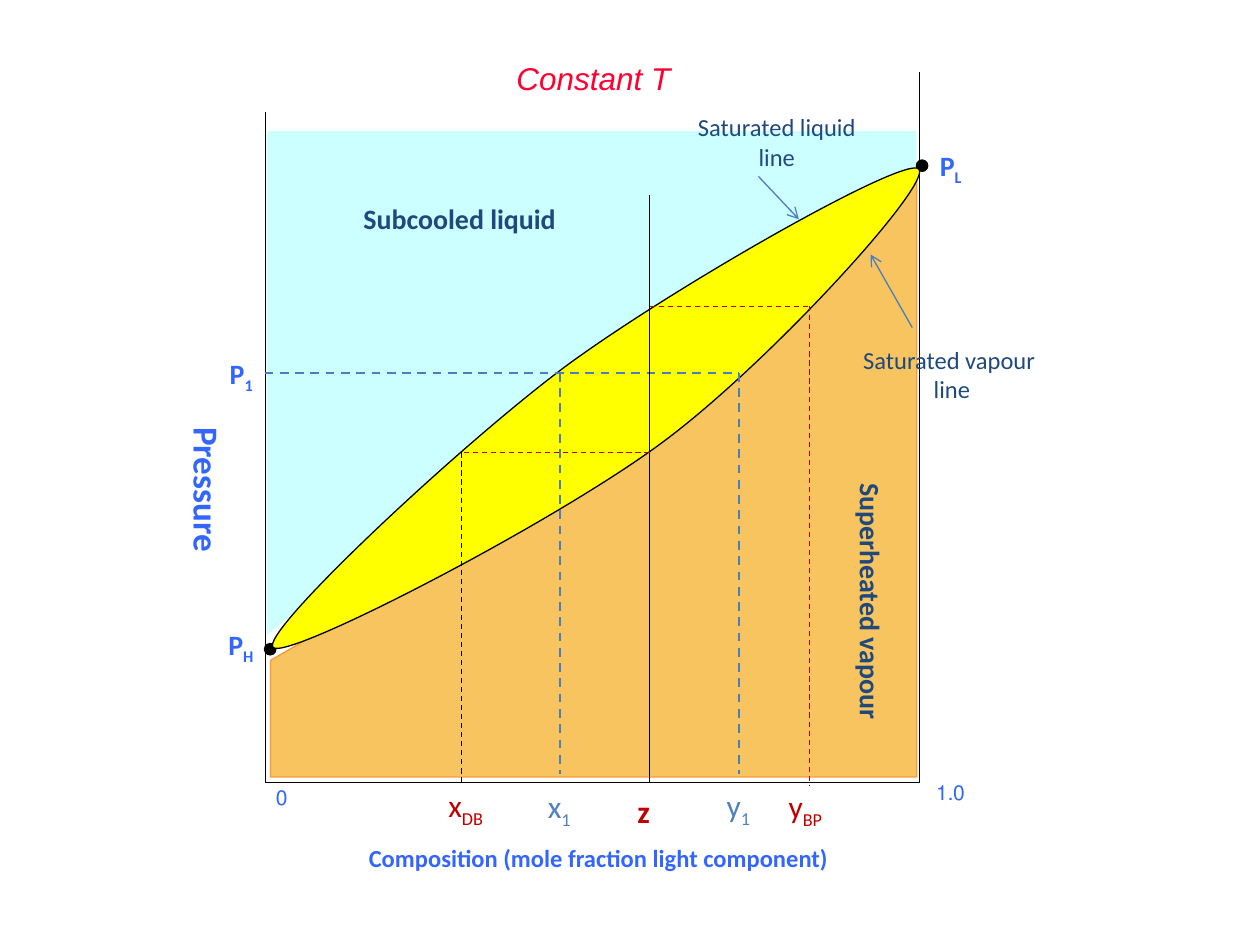
from lxml.etree import SubElement
from pptx import Presentation
from pptx.dml.color import RGBColor
from pptx.enum.dml import MSO_LINE
from pptx.enum.shapes import MSO_CONNECTOR, MSO_SHAPE
from pptx.enum.text import MSO_AUTO_SIZE, PP_ALIGN
from pptx.oxml.ns import qn
from pptx.util import Pt

BLUE, NAVY, RED, BLACK = "3366FF", "1F497D", "C00000", "000000"
STEEL, PALE_STEEL = "4B7EBC", "4F81BD"
LEFT, CENTER, RIGHT = PP_ALIGN.LEFT, PP_ALIGN.CENTER, PP_ALIGN.RIGHT


def color(hex_value):
    return RGBColor.from_string(hex_value)


class Diagram:
    """Draws on one slide; all lengths are in points."""
    font = "Calibri"

    def __init__(self, slide):
        self.slide = slide

    def paint(self, shape, fill, line):
        shape.shadow.inherit = False
        if fill:
            shape.fill.solid()
            shape.fill.fore_color.rgb = color(fill)
        else:
            shape.fill.background()
        if line:
            shape.line.color.rgb = color(line)
            shape.line.width = Pt(0.75)
        else:
            shape.line.fill.background()

    def outline(self, points, fill=None, line=None, close=True):
        start, *rest = [(Pt(x), Pt(y)) for x, y in points]
        builder = self.slide.shapes.build_freeform(*start)
        builder.add_line_segments(rest, close=close)
        shape = builder.convert_to_shape()
        self.paint(shape, fill, line)
        return shape

    def curve(self, points, fill, line):
        """Closed Bezier outline: a start, then two handles and an end per segment."""
        shape = self.outline(points, fill, line)
        corners = list(shape._element.iter(qn("a:lnTo")))
        for first in range(0, len(points) - 1, 3):
            segment = corners[first:first + 3]
            bezier = segment[0].makeelement(qn("a:cubicBezTo"))
            segment[0].addprevious(bezier)
            for corner in segment:
                bezier.append(corner[0])
                corner.getparent().remove(corner)

    def dot(self, x, y, size=6.5):
        shape = self.slide.shapes.add_shape(
            MSO_SHAPE.OVAL, Pt(x - size / 2), Pt(y - size / 2), Pt(size), Pt(size))
        self.paint(shape, BLACK, BLACK)

    def line(self, start, end, hue, width=0.75, dash=False, arrow=False):
        connector = self.slide.shapes.add_connector(
            MSO_CONNECTOR.STRAIGHT, *map(Pt, start + end))
        connector.line.color.rgb = color(hue)
        connector.line.width = Pt(width)
        if dash:
            connector.line.dash_style = MSO_LINE.DASH
        if arrow:
            SubElement(connector.line._get_or_add_ln(), qn("a:tailEnd"), type="arrow")
        SubElement(connector._element.spPr, qn("a:effectLst"))

    def text(self, box, lines, size, hue, align=LEFT, bold=False, italic=False,
             font=None, sub="", wrap=False, rotation=0, rtl=False):
        label = self.slide.shapes.add_textbox(*map(Pt, box))
        label.rotation = rotation
        frame = label.text_frame
        frame.word_wrap = wrap
        frame.auto_size = MSO_AUTO_SIZE.SHAPE_TO_FIT_TEXT
        for index, content in enumerate(lines):
            paragraph = frame.paragraphs[0] if index == 0 else frame.add_paragraph()
            paragraph.alignment = align
            if rtl:
                paragraph._p.get_or_add_pPr().set("rtl", "1")
            paragraph.font.name = font or self.font
            paragraph.font.size = Pt(size)
            paragraph.font.bold = bold
            paragraph.font.italic = italic
            paragraph.font.color.rgb = color(hue)
            paragraph.add_run().text = content
            if sub:
                subscript = paragraph.add_run()
                subscript.text = sub
                subscript.font._element.set("baseline", "-25000")


def main():
    deck = Presentation()
    deck.slide_width, deck.slide_height = Pt(720), Pt(540)
    diagram = Diagram(deck.slides.add_slide(deck.slide_layouts[6]))

    # Phase regions
    diagram.outline([(152.6, 362.9), (152.6, 74.9), (523.8, 74.9), (523.8, 96.5),
                     (326.2, 218.9)], fill="CCFFFF")
    diagram.outline([(154.6, 377.3), (385.2, 244.8), (523.8, 100.8), (523.8, 444),
                     (154.6, 444)], fill="F7C45F", line="FF9933")

    # Axes and pure-component points
    axis_left, axis_right, axis_bottom = 151.9, 525.6, 447.1
    diagram.outline([(axis_left, 64.1), (axis_left, axis_bottom),
                     (axis_right, axis_bottom), (axis_right, 41)], line=BLACK, close=False)
    diagram.dot(154.4, 371)
    diagram.dot(526.9, 94.7)

    # Axis labels
    for box, number in [((133.2, 444.6, 38.2, 50.4), "0"), ((483.5, 441.7, 74.9, 42.5), "1.0")]:
        diagram.text(box, [number], 12, BLUE, RIGHT, font="Times New Roman", wrap=True, rtl=True)
    diagram.text((46.1, 478.1, 591.8, 24.5), ["Composition (mole fraction light component)"],
                 14, BLUE, CENTER, bold=True, wrap=True)
    diagram.text((47.4, 263.9, 141.8, 31.6), ["Pressure"], 20, BLUE, CENTER,
                 bold=True, wrap=True, rotation=90)

    # Two-phase envelope
    diagram.curve([(156.2, 370.1), (146.9, 362.9), (262.8, 254.2), (324, 208.8),
                   (385.9, 163.4), (516.2, 89.3), (524.9, 96.5),
                   (534.2, 103.7), (439.9, 207.4), (378.7, 252.7),
                   (316.8, 298.8), (164.9, 377.3), (156.2, 370.1)], "FFFF00", BLACK)
    diagram.text((152.6, 30.2, 373, 29.5), ["Constant T"], 18, "FF0033", CENTER,
                 italic=True, font="Arial", wrap=True)

    # Tie line at P1 with its liquid and vapour compositions
    p1, x1, y1 = 213.1, 320.2, 422.4
    diagram.line((151.2, p1), (y1, p1), STEEL, 1.25, dash=True)
    for composition in (x1, y1):
        diagram.line((composition, p1), (composition, 442.1), STEEL, 1.25, dash=True)

    # Dew and bubble points of the mixture z
    z, x_db, y_bp = 371.2, 263.7, 462.4
    diagram.line((z, axis_bottom), (z, 111.6), BLACK)
    for composition, pressure, foot, drop_hue in [
            (x_db, 258.5, axis_bottom, BLACK), (y_bp, 175, 449.3, RED)]:
        diagram.line((z, pressure), (composition, pressure), RED, dash=True)
        diagram.line((composition, pressure), (composition, foot), drop_hue, dash=True)

    # Composition and pressure symbols
    for left, top, width, symbol, sub, hue in [
            (306, 446.4, 28.8, "x", "1", PALE_STEEL), (408.2, 445.7, 28.8, "y", "1", PALE_STEEL),
            (357.1, 449.3, 21.6, "z", "", RED), (249.1, 445.7, 36.7, "x", "DB", RED),
            (443.5, 446.4, 36.7, "y", "BP", RED)]:
        diagram.text((left, top, width, 28.8), [symbol], 18, hue, bold=symbol == "z", sub=sub)
    for left, top, sub in [(526.3, 81.4, "L"), (121.7, 355, "H"), (121.3, 200.2, "1")]:
        diagram.text((left, top, 30.2, 26.6), ["P"], 16, BLUE, RIGHT, bold=True, sub=sub, wrap=True)

    # Region names
    diagram.text((200.6, 111.6, 126, 26.6), ["Subcooled liquid"], 16, NAVY, bold=True)
    diagram.text((421.9, 331.4, 151.2, 26.6), ["Superheated vapour"], 16, NAVY,
                 bold=True, rotation=90)

    # Saturation lines with pointers
    for box, name, start, end in [
            ((485.3, 193.5, 117.4, 41), "Saturated vapour ", (521.3, 187.2), (497.5, 145.4)),
            ((391, 60.7, 105.8, 41), "Saturated liquid", (433.4, 100.8), (456.5, 125.3))]:
        diagram.text(box, [name, "line"], 14, NAVY, CENTER)
        diagram.line(start, end, STEEL, arrow=True)

    deck.save("out.pptx")


if __name__ == "__main__":
    main()
